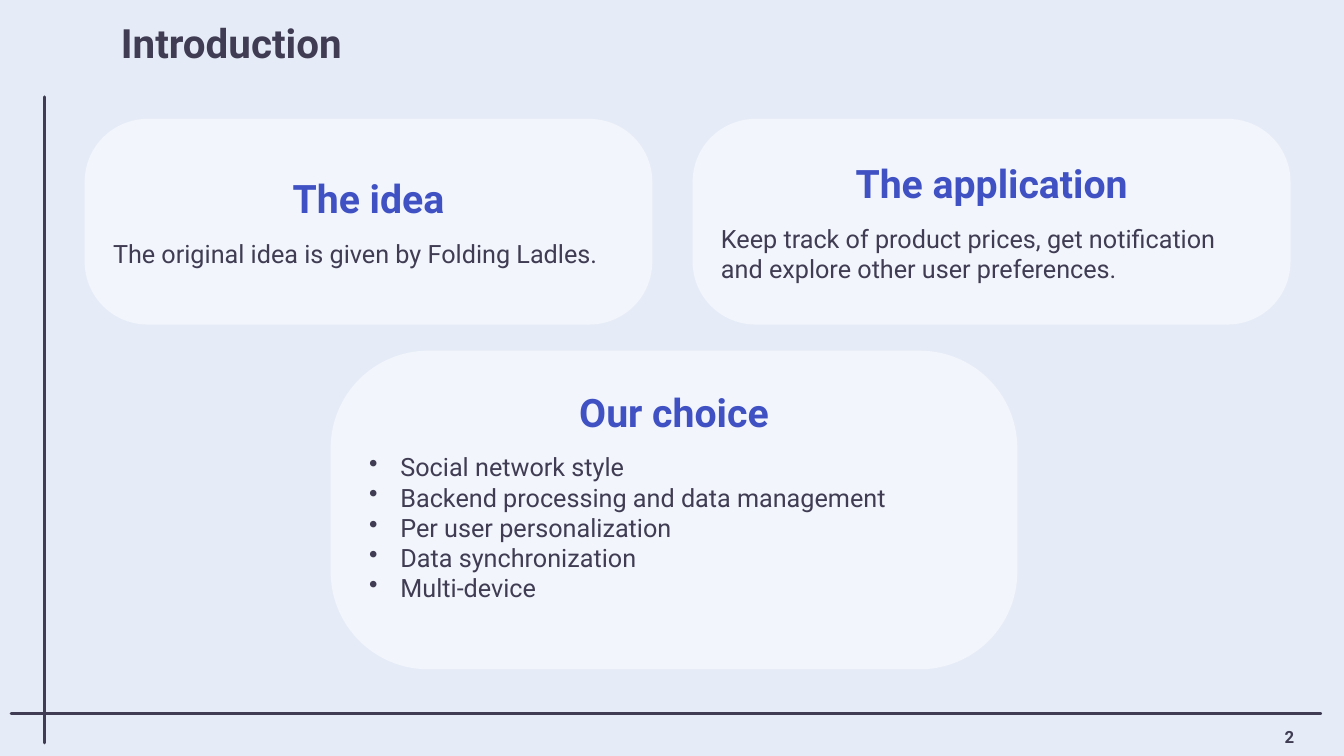
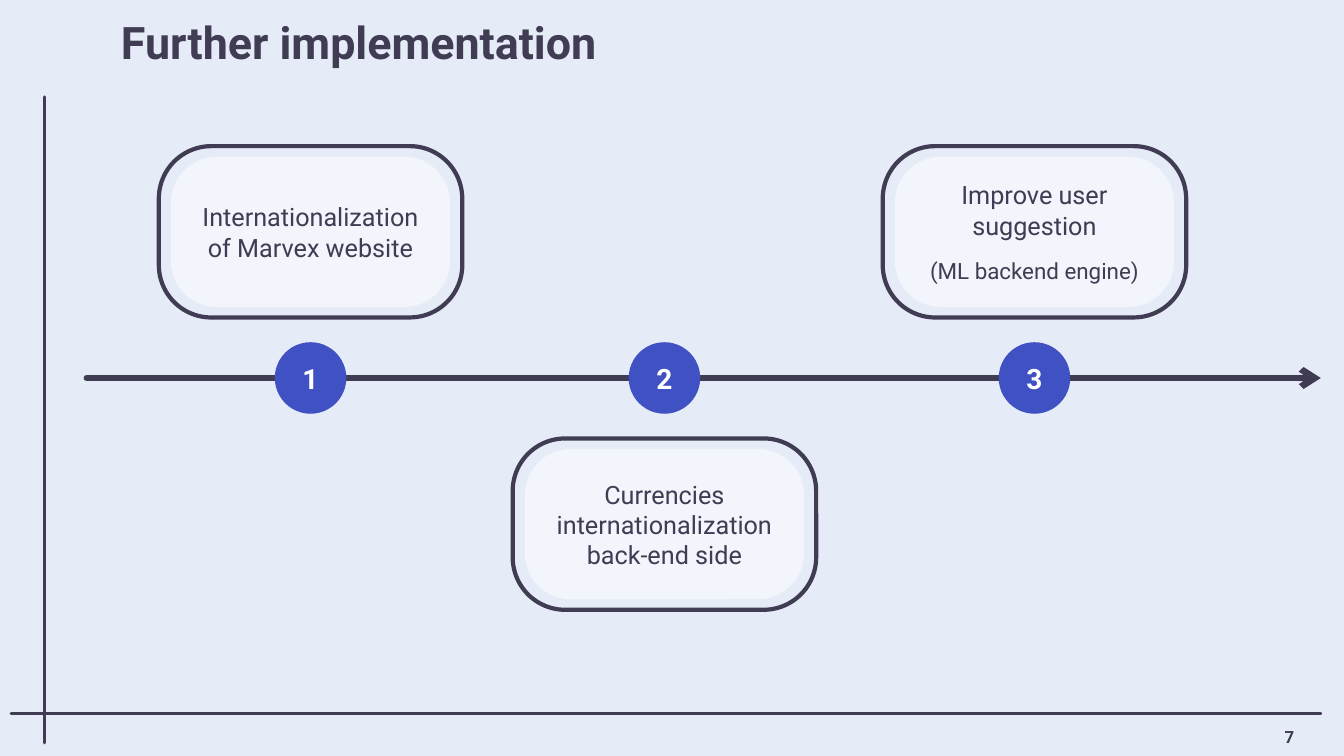
from lxml import etree
from pptx import Presentation
from pptx.dml.color import RGBColor
from pptx.enum.shapes import MSO_CONNECTOR, MSO_SHAPE
from pptx.enum.text import MSO_ANCHOR, PP_ALIGN
from pptx.oxml.ns import qn
from pptx.util import Inches, Pt

ROUNDED, OVAL = MSO_SHAPE.ROUNDED_RECTANGLE, MSO_SHAPE.OVAL
STRAIGHT = MSO_CONNECTOR.STRAIGHT
LEFT, CENTER = PP_ALIGN.LEFT, PP_ALIGN.CENTER
MIDDLE = MSO_ANCHOR.MIDDLE

FONT = "Roboto"
INK, BLUE, WHITE, PALE = "3F3C53", "3F51C3", "FFFFFF", "E6ECF7"
CORNER = 0.306
rgb = RGBColor.from_string


def write(holder, text, size=18, color=INK, bold=False, align=CENTER,
          after=0, spacing=1.0, bullet=False):
    """Fill the empty first paragraph, or add one, and format it."""
    frame = holder.text_frame
    frame.word_wrap = True
    frame.vertical_anchor = MIDDLE
    paragraph = frame.paragraphs[0] if not frame.text else frame.add_paragraph()
    paragraph.alignment = align
    paragraph.line_spacing = spacing
    paragraph.space_before, paragraph.space_after = Pt(0), Pt(after)
    if bullet:
        props = paragraph._p.get_or_add_pPr()
        props.set("marL", str(Inches(0.31)))
        props.set("indent", str(-Inches(0.31)))
        etree.SubElement(props, qn("a:buChar")).set("char", "•")
    run = paragraph.add_run()
    run.text = text
    run.font.name, run.font.size, run.font.bold = FONT, Pt(size), bold
    run.font.color.rgb = rgb(color)


def add_block(slide, kind, left, top, width, height, fill=None, opacity=100, outline=0):
    block = slide.shapes.add_shape(
        kind, Inches(left), Inches(top), Inches(width), Inches(height))
    block.shadow.inherit = False
    if kind == ROUNDED:
        block.adjustments[0] = CORNER
    if fill:
        block.fill.solid()
        block.fill.fore_color.rgb = rgb(fill)
        if opacity < 100:
            tint = block._element.spPr.find(".//" + qn("a:srgbClr"))
            etree.SubElement(tint, qn("a:alpha")).set("val", str(opacity * 1000))
    else:
        block.fill.background()
    if outline:
        block.line.color.rgb = rgb(INK)
        block.line.width = Pt(outline)
    else:
        block.line.fill.background()
    return block


prs = Presentation()
prs.slide_width, prs.slide_height = Inches(13.33), Inches(7.5)

# Shared background and title position
layout = prs.slide_layouts[5]
layout.background.fill.solid()
layout.background.fill.fore_color.rgb = rgb(PALE)
layout_title = layout.placeholders[0]
layout_title.left, layout_title.top = Inches(1.1), Inches(0.17)
layout_title.width, layout_title.height = Inches(12.1), Inches(0.56)

# Titles and page numbers
slides = []
for title, title_size, page in [("Introduction", 28.8, "2"),
                                ("Further implementation", 32, "7")]:
    slide = prs.slides.add_slide(layout)
    write(slide.shapes.title, title, size=title_size, bold=True, align=LEFT, spacing=0.9)
    page_number = slide.shapes.add_textbox(
        Inches(12.48), Inches(7.14), Inches(0.62), Inches(0.33))
    write(page_number, page, size=12, bold=True)
    slides.append(slide)
introduction, roadmap = slides

# Frame rules, kept on the layout, and the timeline arrow
axis_y = 3.75
for x1, y1, x2, y2, weight, on_layout in [
        (0.44, 0.96, 0.44, 7.37, 2, True),
        (13.1, 7.08, 0.11, 7.08, 2, True),
        (0.86, axis_y, 13.1, axis_y, 4.5, False)]:
    rule = roadmap.shapes.add_connector(
        STRAIGHT, Inches(x1), Inches(y1), Inches(x2), Inches(y2))
    rule.line.color.rgb = rgb(INK)
    rule.line.width = Pt(weight)
    stroke = rule.line._get_or_add_ln()
    stroke.set("cap", "rnd")
    etree.SubElement(rule._element.spPr, qn("a:effectLst"))
    if on_layout:
        layout.shapes.element.append(rule.element)
    else:
        etree.SubElement(stroke, qn("a:tailEnd")).set("type", "arrow")

# Introduction: three cards
choices = ["Social network style", "Backend processing and data management",
           "Per user personalization", "Data synchronization", "Multi-device"]
cards = [
    ("The idea", ["The original idea is given by Folding Ladles."],
     (0.84, 1.18, 5.63, 2.04), 0.05),
    ("The application", ["Keep track of product prices, get notification "
                         "and explore other user preferences."],
     (6.87, 1.18, 5.93, 2.04), 0.05),
    ("Our choice", choices, (3.28, 3.48, 6.81, 3.16), 0.34),
]
for heading, points, area, bottom_margin in cards:
    card = add_block(introduction, ROUNDED, *area, fill=WHITE, opacity=50)
    card.text_frame.margin_bottom = Inches(bottom_margin)
    write(card, heading, size=28, color=BLUE, bold=True, after=12)
    for point in points:
        write(card, point, align=LEFT, bullet=len(points) > 1)

# Further implementation: numbered steps alternating around the arrow
steps = [
    (3.08, "Internationalization of Marvex website", None),
    (6.59, "Currencies internationalization back-end side", None),
    (10.26, "Improve user suggestion", "(ML backend engine)"),
]
dot, card_w, card_h, frame_w, frame_h = 0.71, 2.77, 1.49, 3.01, 1.7
for number, (center_x, step, detail) in enumerate(steps, start=1):
    center_y = axis_y + (-1.45 if number % 2 else 1.45)
    marker = add_block(roadmap, OVAL, center_x - dot / 2, axis_y - dot / 2,
                       dot, dot, fill=BLUE)
    write(marker, str(number), size=20, color=WHITE, bold=True)
    step_card = add_block(roadmap, ROUNDED, center_x - card_w / 2, center_y - card_h / 2,
                          card_w, card_h, fill=WHITE, opacity=50)
    write(step_card, step, after=12 if detail else 0)
    if detail:
        write(step_card, detail, size=16)
    add_block(roadmap, ROUNDED, center_x - frame_w / 2, center_y - frame_h / 2,
              frame_w, frame_h, outline=3)

prs.save("out.pptx")
